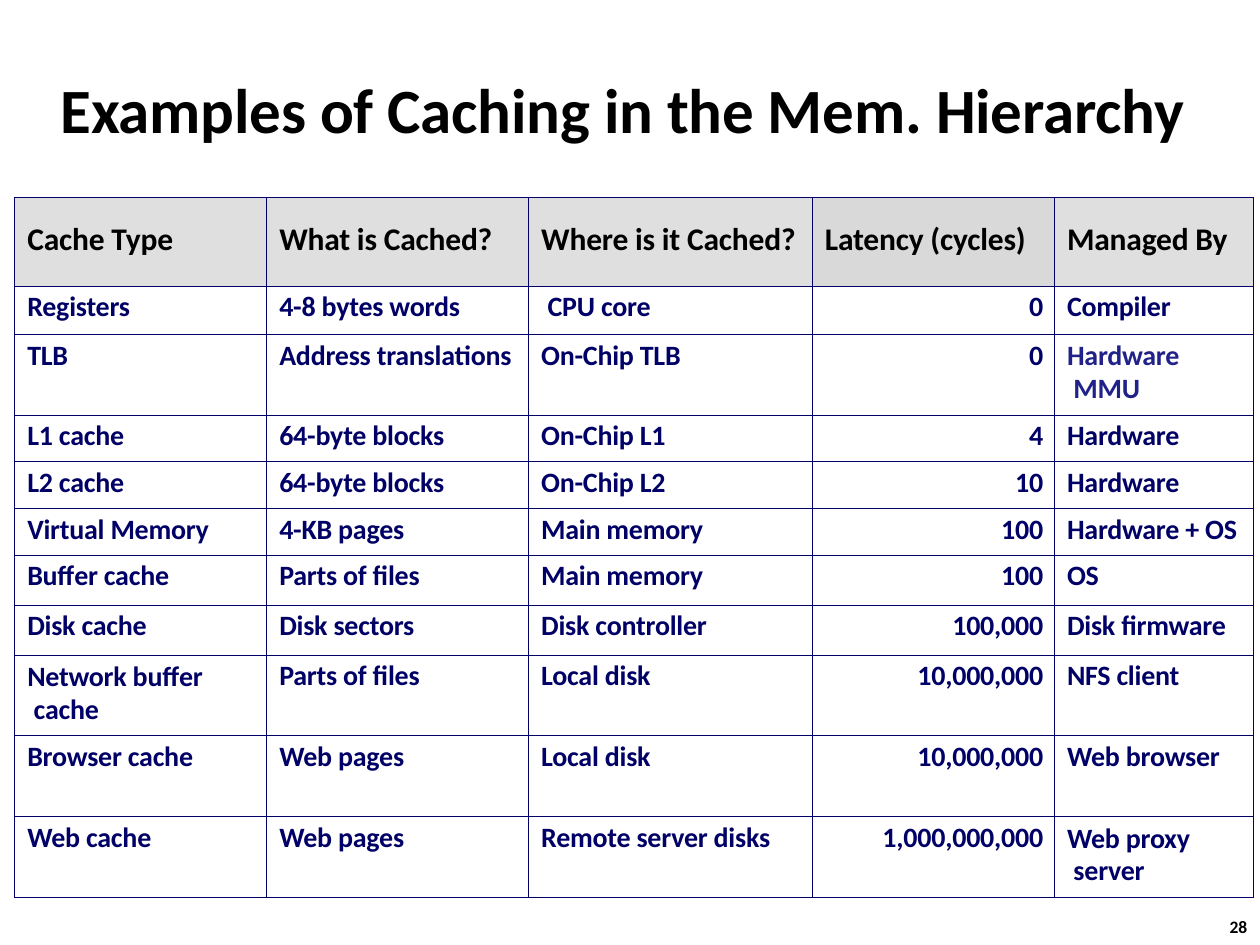
from pptx import Presentation
from pptx.dml.color import RGBColor
from pptx.enum.text import MSO_ANCHOR, MSO_AUTO_SIZE, PP_ALIGN
from pptx.oxml import parse_xml
from pptx.oxml.ns import nsdecls
from pptx.util import Cm, Pt

LEFT, RIGHT = PP_ALIGN.LEFT, PP_ALIGN.RIGHT
TOP = MSO_ANCHOR.TOP
NO_AUTOFIT = MSO_AUTO_SIZE.NONE

FONT = "Calibri"
BLACK, NAVY, MMU_BLUE = "000000", "000066", "21218A"
HEADER_GREY, LATENCY_GREY = "DFDFDF", "D9D9D9"

COLUMN_WIDTHS = [5.08, 5.28, 5.72, 4.88, 4.01]
ROW_HEIGHTS = [1.78, 0.97, 1.63, 0.94, 0.94, 0.94, 1.01, 1.01, 1.62, 1.63, 1.63]
LATENCY_COLUMN = 3
HEADERS = ["Cache Type", "What is Cached?", "Where is it Cached?",
           "Latency (cycles)", "Managed By"]
CACHES = [
    ["Registers", "4-8 bytes words", "CPU core", "0", "Compiler"],
    ["TLB", "Address translations", "On-Chip TLB", "0", "Hardware MMU"],
    ["L1 cache", "64-byte blocks", "On-Chip L1", "4", "Hardware"],
    ["L2 cache", "64-byte blocks", "On-Chip L2", "10", "Hardware"],
    ["Virtual Memory", "4-KB pages", "Main memory", "100", "Hardware + OS"],
    ["Buffer cache", "Parts of files", "Main memory", "100", "OS"],
    ["Disk cache", "Disk sectors", "Disk controller", "100,000", "Disk firmware"],
    ["Network buffer cache", "Parts of files", "Local disk", "10,000,000", "NFS client"],
    ["Browser cache", "Web pages", "Local disk", "10,000,000", "Web browser"],
    ["Web cache", "Web pages", "Remote server disks", "1,000,000,000", "Web proxy server"],
]
WRAPPED = {"Hardware MMU", "Network buffer cache", "Web proxy server"}


def color(hex_string):
    """Return the colour for a hex string."""
    return RGBColor.from_string(hex_string)


def write(paragraph, text, size, hex_string, align=LEFT):
    """Add one bold, slightly tightened run to a paragraph."""
    paragraph.alignment = align
    run = paragraph.add_run()
    run.text = text
    run.font.name, run.font.size, run.font.bold = FONT, Pt(size), True
    run.font.color.rgb = color(hex_string)
    run._r.get_or_add_rPr().set("spc", "-10")


def set_margins(holder, left=0, top=0, right=0, bottom=0):
    """Set the inner margins of a cell or text frame in centimetres."""
    holder.margin_left, holder.margin_top = Cm(left), Cm(top)
    holder.margin_right, holder.margin_bottom = Cm(right), Cm(bottom)


def place(shape, left, top, width, height):
    """Move and size a shape in centimetres."""
    shape.left, shape.top = Cm(left), Cm(top)
    shape.width, shape.height = Cm(width), Cm(height)


def add_title(slide, left, top, width, height):
    """Fill the title placeholder."""
    title = slide.shapes.title
    place(title, left, top, width, height)
    frame = title.text_frame
    frame.auto_size, frame.vertical_anchor, frame.word_wrap = NO_AUTOFIT, TOP, True
    set_margins(frame, top=0.03)
    write(frame.paragraphs[0], "Examples of Caching in the Mem. Hierarchy", 36, BLACK)


def add_borders(cell):
    """Draw a thin navy line on all four sides of a cell."""
    properties = cell._tc.get_or_add_tcPr()
    for position, side in enumerate(("lnL", "lnR", "lnT", "lnB")):
        properties.insert(position, parse_xml(
            f'<a:{side} {nsdecls("a")} w="{Pt(0.75)}"><a:solidFill>'
            f'<a:srgbClr val="{NAVY}"/></a:solidFill></a:{side}>'))


def fill_header_cell(cell, text, column):
    """Format a heading on grey."""
    cell.fill.solid()
    cell.fill.fore_color.rgb = color(
        LATENCY_GREY if column == LATENCY_COLUMN else HEADER_GREY)
    set_margins(cell, left=0.25, top=0.46)
    write(cell.text_frame.paragraphs[0], text, 18, BLACK)


def fill_cache_cell(cell, text, column):
    """Format a body cell: latency to the right, long entries on two lines."""
    cell.fill.background()
    paragraph = cell.text_frame.paragraphs[0]
    if column == LATENCY_COLUMN:
        set_margins(cell, top=0.08, right=0.23)
        write(paragraph, text, 16, NAVY, RIGHT)
    elif text in WRAPPED:
        set_margins(cell, left=0.25, top=0.13, right=1)
        paragraph.line_spacing = Pt(18.7)
        hanging = Cm(0.13)
        properties = paragraph._p.get_or_add_pPr()
        properties.set("marL", str(hanging))
        properties.set("indent", str(-hanging))
        write(paragraph, text, 16, MMU_BLUE if "MMU" in text else NAVY)
    else:
        set_margins(cell, left=0.38 if text == "CPU core" else 0.25, top=0.08)
        write(paragraph, text, 16, NAVY)


def add_cache_table(slide, left, top):
    """Add the table of cache types."""
    rows = [HEADERS] + CACHES
    table = slide.shapes.add_table(
        len(rows), len(HEADERS), Cm(left), Cm(top),
        Cm(sum(COLUMN_WIDTHS)), Cm(sum(ROW_HEIGHTS))).table
    table.first_row = table.horz_banding = False
    for column, width in zip(table.columns, COLUMN_WIDTHS):
        column.width = Cm(width)
    for row, height in zip(table.rows, ROW_HEIGHTS):
        row.height = Cm(height)
    for r, texts in enumerate(rows):
        fill_cell = fill_cache_cell if r else fill_header_cell
        for c, text in enumerate(texts):
            cell = table.cell(r, c)
            cell.vertical_anchor = TOP
            fill_cell(cell, text, c)
            add_borders(cell)


def add_page_number(slide, left, top, width, height):
    """Add the page number."""
    frame = slide.shapes.add_textbox(
        Cm(left), Cm(top), Cm(width), Cm(height)).text_frame
    frame.word_wrap = True
    set_margins(frame, left=0.08)
    frame.paragraphs[0].line_spacing = Pt(10.4)
    write(frame.paragraphs[0], "28", 10, BLACK)


def main():
    """Build and save the slide."""
    presentation = Presentation()
    presentation.slide_width, presentation.slide_height = Cm(25.4), Cm(19.05)
    slide = presentation.slides.add_slide(presentation.slide_layouts[5])
    add_title(slide, 1.22, 1.4, 22.96, 1.6)
    add_cache_table(slide, 0.3, 3.99)
    add_page_number(slide, 24.71, 18.52, 0.51, 0.43)
    presentation.save("out.pptx")


if __name__ == "__main__":
    main()
